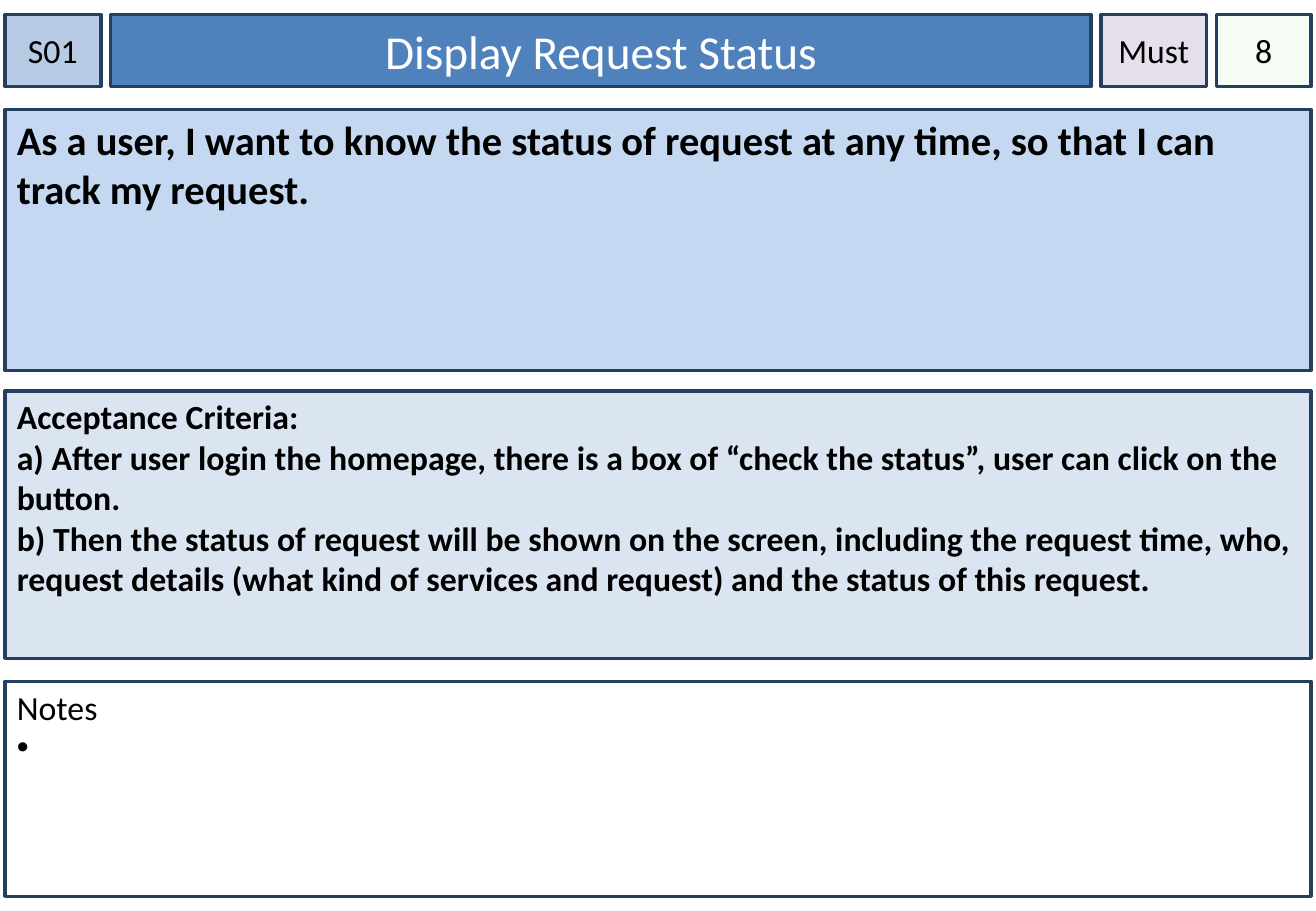
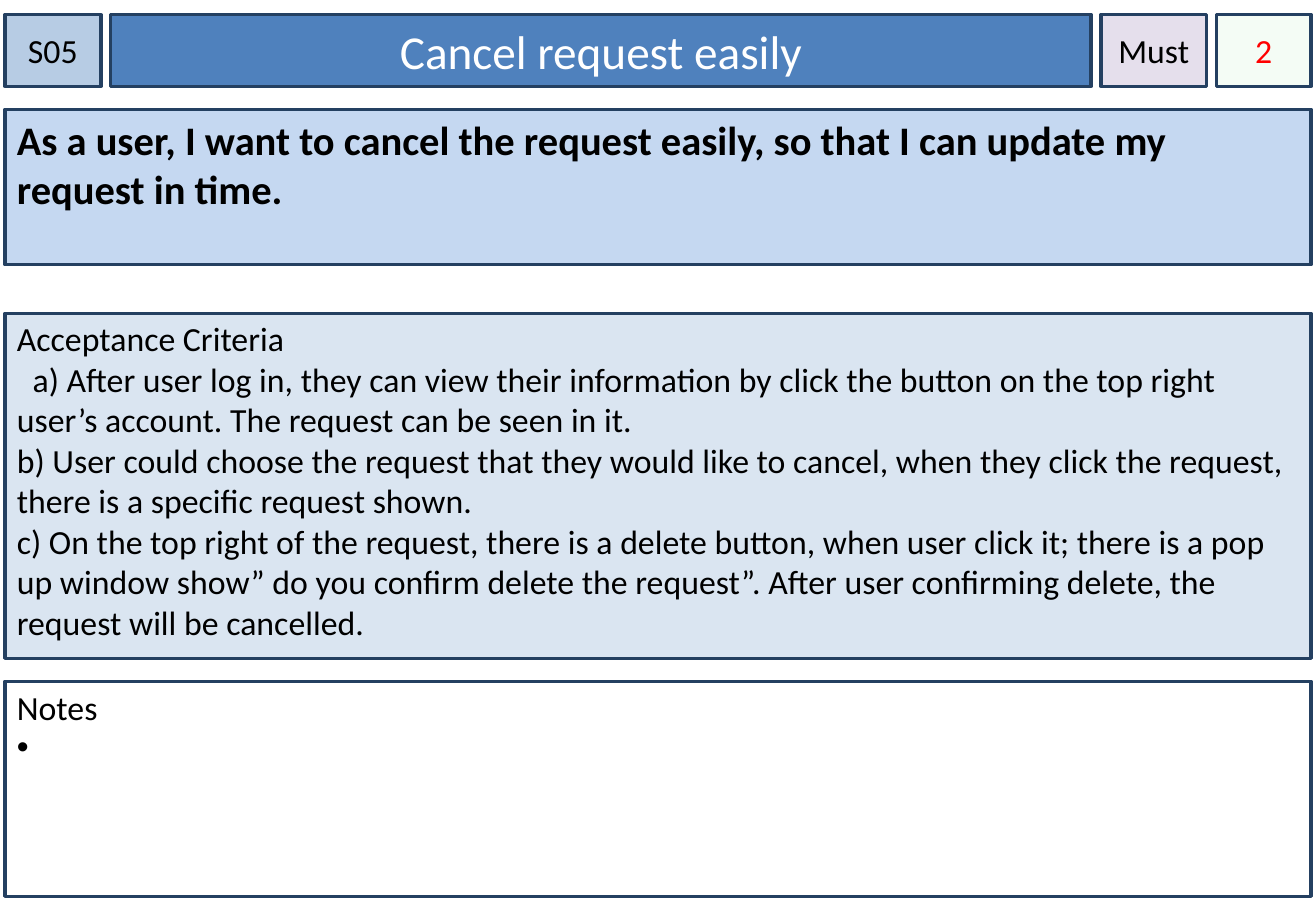
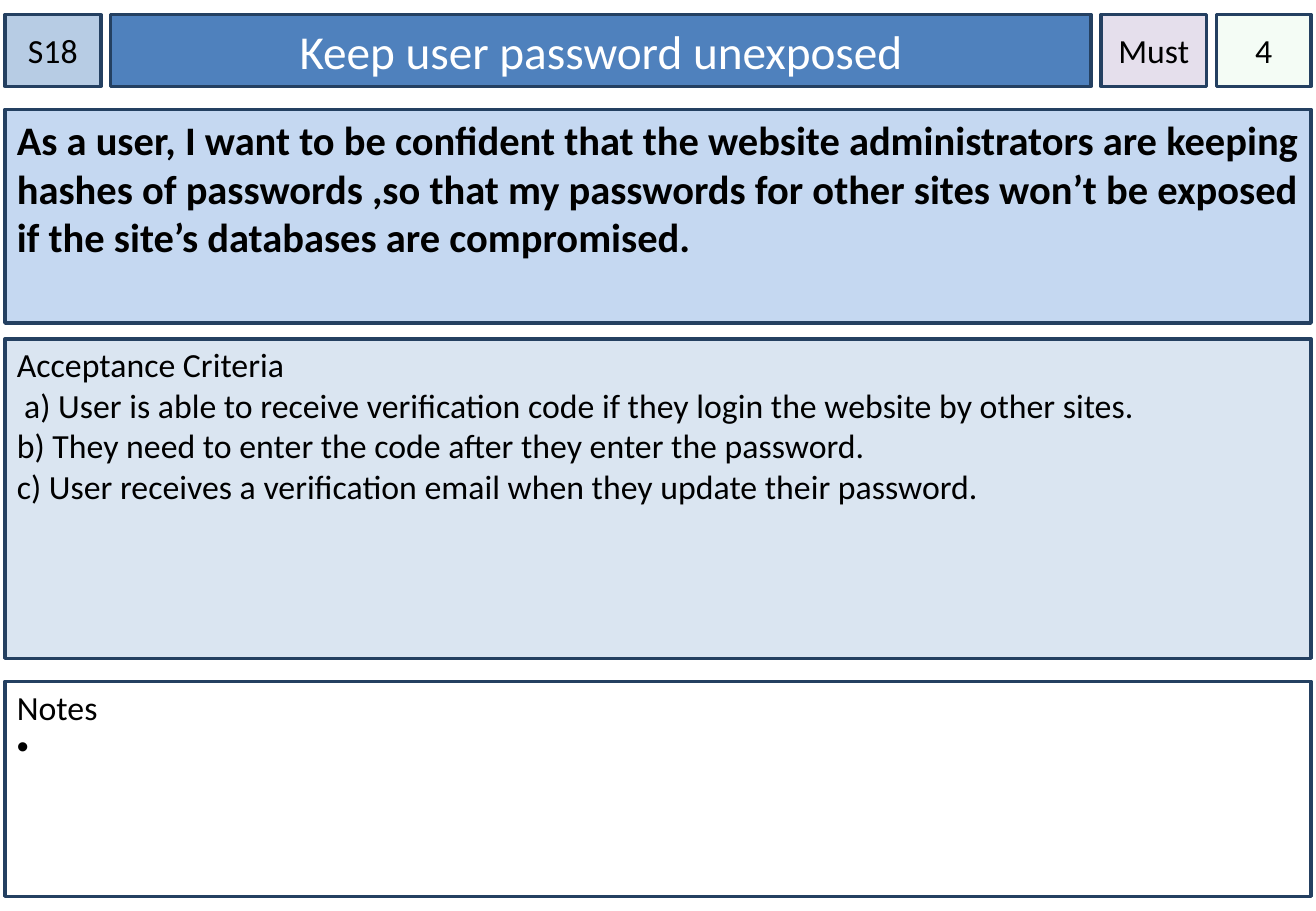
from dataclasses import dataclass
from typing import NamedTuple

from lxml import etree
from pptx import Presentation
from pptx.dml.color import RGBColor
from pptx.enum.shapes import MSO_SHAPE
from pptx.enum.text import MSO_ANCHOR, MSO_AUTO_SIZE, PP_ALIGN
from pptx.oxml.ns import qn
from pptx.util import Inches, Pt

RECT = MSO_SHAPE.RECTANGLE
TOP, MIDDLE = MSO_ANCHOR.TOP, MSO_ANCHOR.MIDDLE
LEFT, CENTER = PP_ALIGN.LEFT, PP_ALIGN.CENTER
NO_FIT = MSO_AUTO_SIZE.NONE
TITLE_ONLY = 5


@dataclass(frozen=True)
class Theme:
    font: str = "Calibri"
    text: str = "000000"
    title_text: str = "FFFFFF"
    alert: str = "FF0000"
    border: str = "244061"
    code: str = "B7CCE4"
    title: str = "4F81BD"
    priority: str = "E5DFEC"
    score: str = "CCF0CD"
    story: str = "C5D8F1"
    criteria: str = "DAE5F1"
    notes: str = "FFFFFF"
    title_size: int = 28
    story_size: int = 24
    body_size: int = 20
    border_width: int = 2
    score_opacity: int = 20


THEME = Theme()


class Box(NamedTuple):
    left: float
    top: float
    width: float
    height: float


@dataclass(frozen=True)
class Card:
    code: str
    title: str
    score: str
    story: str
    criteria: tuple
    story_bottom: float
    criteria_top: float
    score_color: str = THEME.text
    criteria_bold: bool = False
    first_indent: float = 0


SLIDE_W, SLIDE_H = 10.83, 7.5
MARGIN = 0.04
CONTENT_W = 10.75
GAP = 0.08
HEADER = Box(MARGIN, 0.12, CONTENT_W, 0.59)
CODE_W, PRIORITY_W, SCORE_W = 0.79, 0.87, 0.78
STORY_TOP = 0.9
CRITERIA_BOTTOM = 5.42
NOTES = Box(MARGIN, 5.61, CONTENT_W, 1.77)

CARDS = (
    Card(
        "S01", "Display Request Status", "8",
        "As a user, I want to know the status of request at any time, "
        "so that I can track my request.",
        ("Acceptance Criteria:",
         "a) After user login the homepage, there is a box of “check the status”, "
         "user can click on the button.",
         "b) Then the status of request will be shown on the screen, including the "
         "request time, who, request details (what kind of services and request) "
         "and the status of this request."),
        story_bottom=3.05, criteria_top=3.22, criteria_bold=True),
    Card(
        "S05", "Cancel request easily", "2",
        "As a user, I want to cancel the request easily, "
        "so that I can update my request in time.",
        ("Acceptance Criteria",
         "a) After user log in, they can view their information by click the button "
         "on the top right user’s account. The request can be seen in it.",
         "b) User could choose the request that they would like to cancel, when they "
         "click the request, there is a specific request shown.",
         "c) On the top right of the request, there is a delete button, when user "
         "click it; there is a pop up window show” do you confirm delete the "
         "request”. After user confirming delete, the request will be cancelled."),
        story_bottom=2.18, criteria_top=2.58, score_color=THEME.alert,
        first_indent=0.13),
    Card(
        "S18", "Keep user password unexposed", "4",
        "As a user, I want to be confident that the website administrators are "
        "keeping hashes of passwords ,so that my passwords for other sites won’t be "
        "exposed if the site’s databases are compromised.",
        ("Acceptance Criteria",
         "a) User is able to receive verification code if they login the website "
         "by other sites.",
         "b) They need to enter the code after they enter the password.",
         "c) User receives a verification email when they update their password."),
        story_bottom=2.66, criteria_top=2.79, first_indent=0.06),
)


def rgb(color):
    return RGBColor.from_string(color)


def style_box(sp, fill, opacity=None):
    sp.fill.solid()
    sp.fill.fore_color.rgb = rgb(fill)
    if opacity is not None:
        clr = sp.fill._xPr.find(f"{qn('a:solidFill')}/{qn('a:srgbClr')}")
        etree.SubElement(clr, qn("a:alpha")).set("val", str(opacity * 1000))
    sp.line.color.rgb = rgb(THEME.border)
    sp.line.width = Pt(THEME.border_width)


def write_text(sp, *lines, size=THEME.body_size, color=THEME.text, bold=False,
               align=LEFT, anchor=TOP, side=0.1, top=0.05):
    """Write one paragraph per line; side and top are insets in inches."""
    tf = sp.text_frame
    tf.word_wrap = True
    tf.auto_size = NO_FIT
    tf.vertical_anchor = anchor
    tf.margin_left = tf.margin_right = Inches(side)
    tf.margin_top, tf.margin_bottom = Inches(top), Inches(0.05)
    for i, line in enumerate(lines):
        p = tf.paragraphs[0] if i == 0 else tf.add_paragraph()
        p.alignment = align
        r = p.add_run()
        r.text = line
        r.font.name = THEME.font
        r.font.size = Pt(size)
        r.font.bold = bold
        r.font.color.rgb = rgb(color)
    return tf


def indent(p, first, left=0):
    pPr = p._p.get_or_add_pPr()
    pPr.set("marL", str(Inches(left)))
    pPr.set("indent", str(Inches(first)))
    return pPr


def add_bullet(p):
    pPr = indent(p, -0.2, left=0.2)
    clr = etree.SubElement(pPr, qn("a:buClr"))
    etree.SubElement(clr, qn("a:srgbClr")).set("val", THEME.text)
    etree.SubElement(pPr, qn("a:buFont")).set("typeface", "Arial")
    etree.SubElement(pPr, qn("a:buChar")).set("char", "•")


def add_box(s, box, fill, *lines, opacity=None, **text_format):
    sp = s.shapes.add_shape(RECT, *map(Inches, box))
    sp.shadow.inherit = False
    style_box(sp, fill, opacity)
    return write_text(sp, *lines, **text_format)


def place_title(s, box, text):
    sp = s.shapes.title
    sp.left, sp.top, sp.width, sp.height = map(Inches, box)
    style_box(sp, THEME.title)
    write_text(sp, text, size=THEME.title_size, color=THEME.title_text,
               align=CENTER, anchor=MIDDLE)


def add_header(s, box, card):
    title_w = box.width - CODE_W - PRIORITY_W - SCORE_W - 3 * GAP
    cells, left = [], box.left
    for width in (CODE_W, title_w, PRIORITY_W, SCORE_W):
        cells.append(Box(left, box.top, width, box.height))
        left += width + GAP
    code, title, priority, score = cells
    tag = dict(align=CENTER, anchor=MIDDLE, side=0)
    add_box(s, code, THEME.code, card.code, **tag)
    place_title(s, title, card.title)
    add_box(s, priority, THEME.priority, "Must", **tag)
    add_box(s, score, THEME.score, card.score, color=card.score_color,
            opacity=THEME.score_opacity, **tag)


def add_story(s, box, card):
    add_box(s, box, THEME.story, card.story, size=THEME.story_size, bold=True)


def add_criteria(s, box, card):
    tf = add_box(s, box, THEME.criteria, *card.criteria,
                 bold=card.criteria_bold, top=0.04)
    if card.first_indent:
        indent(tf.paragraphs[1], card.first_indent)


def add_notes(s, box):
    """Add the notes area with one bullet left open for writing."""
    tf = add_box(s, box, THEME.notes, "Notes", " ", top=0.04)
    add_bullet(tf.paragraphs[1])


def add_card(prs, card):
    s = prs.slides.add_slide(prs.slide_layouts[TITLE_ONLY])
    add_header(s, HEADER, card)
    add_story(s, Box(MARGIN, STORY_TOP, CONTENT_W,
                     card.story_bottom - STORY_TOP), card)
    add_criteria(s, Box(MARGIN, card.criteria_top, CONTENT_W,
                        CRITERIA_BOTTOM - card.criteria_top), card)
    add_notes(s, NOTES)


def main():
    prs = Presentation()
    prs.slide_width, prs.slide_height = Inches(SLIDE_W), Inches(SLIDE_H)
    for card in CARDS:
        add_card(prs, card)
    prs.save("out.pptx")


if __name__ == "__main__":
    main()
